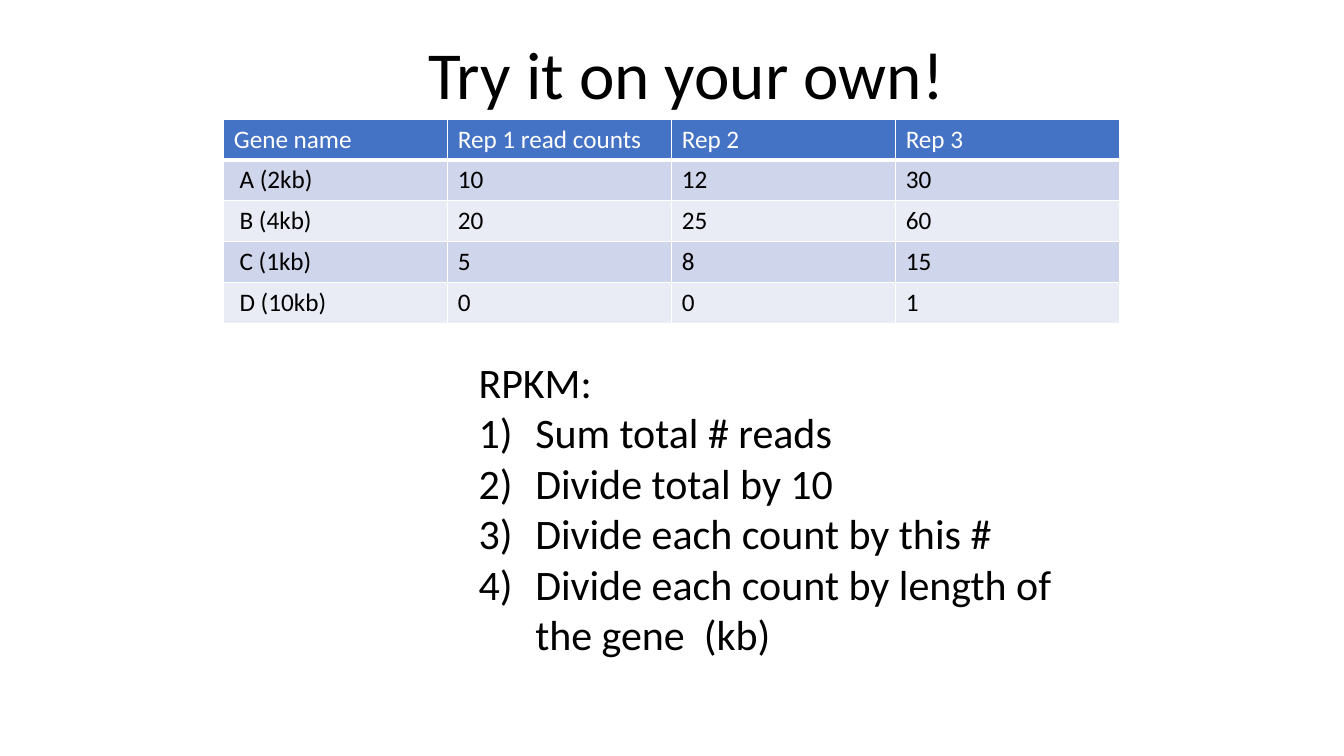
import pptx
import pptx.dml.color
import pptx.enum.text
import pptx.oxml
import pptx.oxml.ns
import pptx.util
from pptx.util import Cm

WHITE = pptx.dml.color.RGBColor(0xFF, 0xFF, 0xFF)
BLACK = pptx.dml.color.RGBColor(0x00, 0x00, 0x00)
HEADER_BLUE = pptx.dml.color.RGBColor(0x44, 0x72, 0xC4)
BAND_DARK = pptx.dml.color.RGBColor(0xCF, 0xD5, 0xEA)
BAND_LIGHT = pptx.dml.color.RGBColor(0xE9, 0xEB, 0xF5)
FONT_NAME = "Calibri"

READ_COUNTS = [
    ("Gene name", "Rep 1 read counts", "Rep 2", "Rep 3"),
    (" A (2kb)", "10", "12", "30"),
    (" B (4kb)", "20", "25", "60"),
    (" C (1kb)", "5", "8", "15"),
    (" D (10kb)", "0", "0", "1"),
]
RPKM_STEPS = [
    "Sum total # reads",
    "Divide total by 10",
    "Divide each count by this #",
    "Divide each count by length of the gene  (kb)",
]


def format_font(paragraph, size, color):
    """Set the typeface, size and colour of a paragraph."""
    paragraph.font.name = FONT_NAME
    paragraph.font.size = pptx.util.Pt(size)
    paragraph.font.bold = False
    paragraph.font.color.rgb = color


def add_title(slide, left, top, width, height):
    """Place the slide title in the given box."""
    title = slide.shapes.title
    title.left, title.top, title.width, title.height = left, top, width, height
    frame = title.text_frame
    frame.text = "Try it on your own!"
    frame.word_wrap = False
    frame.auto_size = pptx.enum.text.MSO_AUTO_SIZE.SHAPE_TO_FIT_TEXT
    frame.vertical_anchor = pptx.enum.text.MSO_ANCHOR.TOP
    frame.paragraphs[0].alignment = pptx.enum.text.PP_ALIGN.LEFT
    format_font(frame.paragraphs[0], 48, BLACK)


def add_cell_borders(cell, bottom_width):
    """Draw white borders round a cell, with the given bottom width in points."""
    properties = cell._tc.get_or_add_tcPr()
    for side, width in (("L", 1), ("R", 1), ("T", 1), ("B", bottom_width)):
        properties.append(pptx.oxml.parse_xml(
            f'<a:ln{side} {pptx.oxml.ns.nsdecls("a")} w="{pptx.util.Pt(width)}">'
            f'<a:solidFill><a:srgbClr val="{WHITE}"/></a:solidFill></a:ln{side}>'))


def add_count_table(slide, left, top, width, height):
    """Fill the given box with the banded table of read counts."""
    row_count, column_count = len(READ_COUNTS), len(READ_COUNTS[0])
    table = slide.shapes.add_table(
        row_count, column_count, left, top, width, height).table
    for row_index, values in enumerate(READ_COUNTS):
        is_header = row_index == 0
        band = BAND_DARK if row_index % 2 else BAND_LIGHT
        for column_index, value in enumerate(values):
            cell = table.cell(row_index, column_index)
            cell.text = value
            format_font(cell.text_frame.paragraphs[0], 18,
                        WHITE if is_header else BLACK)
            add_cell_borders(cell, 3 if is_header else 1)
            cell.fill.solid()
            cell.fill.fore_color.rgb = HEADER_BLUE if is_header else band


def add_rpkm_steps(slide, left, top, width, height):
    """Write the numbered RPKM steps in the given box."""
    frame = slide.shapes.add_textbox(left, top, width, height).text_frame
    frame.word_wrap = True
    frame.auto_size = pptx.enum.text.MSO_AUTO_SIZE.SHAPE_TO_FIT_TEXT
    frame.text = "RPKM:"
    for step in RPKM_STEPS:
        paragraph = frame.add_paragraph()
        paragraph.text = step
        properties = paragraph._p.get_or_add_pPr()
        properties.set("marL", str(Cm(1.43)))
        properties.set("indent", str(-Cm(1.43)))
        properties.append(pptx.oxml.parse_xml(
            f'<a:buFont {pptx.oxml.ns.nsdecls("a")} typeface="+mj-lt"/>'))
        properties.append(pptx.oxml.parse_xml(
            f'<a:buAutoNum {pptx.oxml.ns.nsdecls("a")} type="arabicParenR"/>'))
    for paragraph in frame.paragraphs:
        format_font(paragraph, 30, BLACK)


def main():
    """Build the exercise slide and save it."""
    presentation = pptx.Presentation()
    presentation.slide_width = Cm(33.87)
    presentation.slide_height = Cm(19.05)
    slide = presentation.slides.add_slide(presentation.slide_layouts[5])
    add_count_table(slide, Cm(5.64), Cm(3.0), Cm(22.58), Cm(5.15))
    add_rpkm_steps(slide, Cm(11.81), Cm(8.86), Cm(15.75), Cm(7.95))
    add_title(slide, Cm(10.54), Cm(0.69), Cm(13.67), Cm(2.31))
    presentation.save("out.pptx")


if __name__ == "__main__":
    main()
